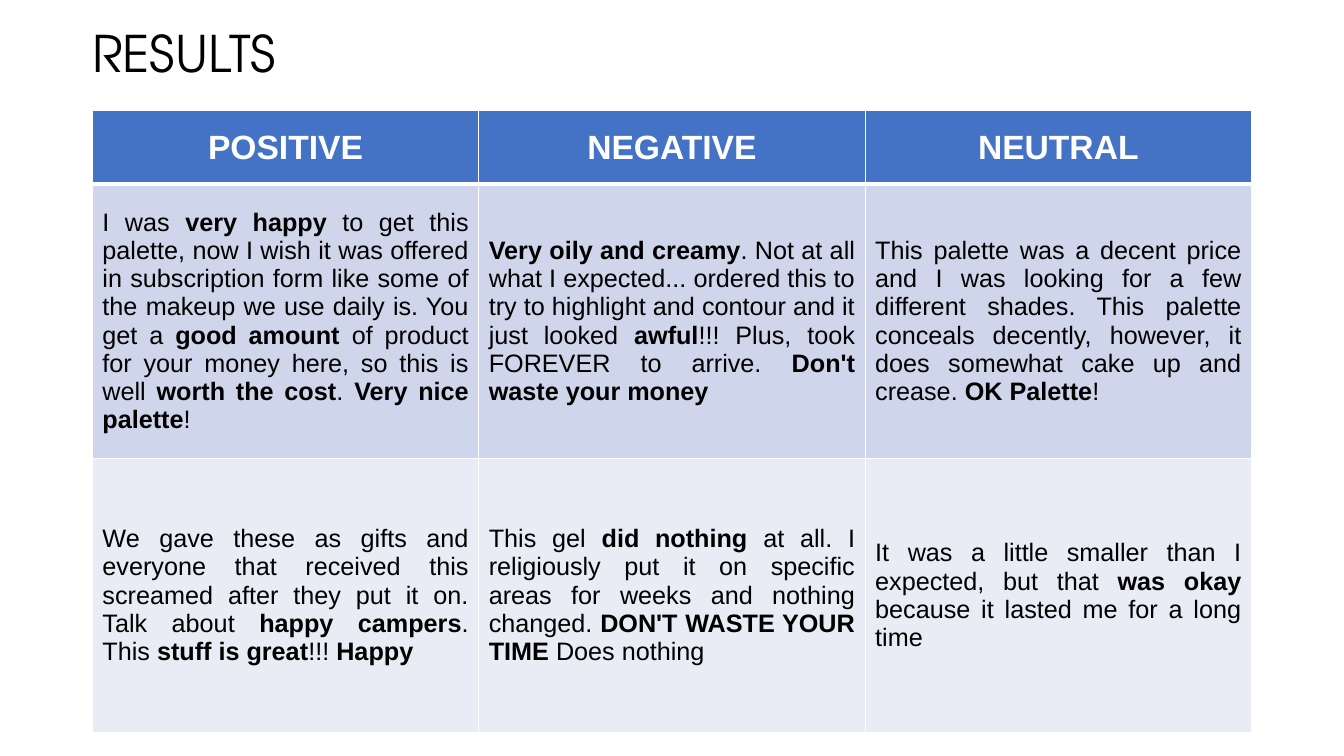
from pptx import Presentation
from pptx import util as u
from pptx.dml.color import RGBColor
from pptx.enum import text as t
from pptx.oxml import parse_xml
from pptx.oxml.ns import nsdecls

HUES = {"ink": "000000", "paper": "FFFFFF", "head": "4472C4",
        "odd": "CFD5EA", "even": "E9EBF5"}

# Asterisks enclose the bold words
HEADS = ["*POSITIVE*", "*NEGATIVE*", "*NEUTRAL*"]
QUOTES = [
    ["I was *very happy *to get this palette, now I wish it was offered in "
     "subscription form like some of the makeup we use daily is. You get a "
     "*good amount *of product for your money here, so this is well "
     "*worth the cost*. *Very nice palette*!",
     "*Very oily and creamy*. Not at all what I expected... ordered this to "
     "try to highlight and contour and it just looked *awful*!!! Plus, took "
     "FOREVER to arrive. *Don't waste your money*",
     "This palette was a decent price and I was looking for a few different "
     "shades. This palette conceals decently, however, it does somewhat cake "
     "up and crease. *OK Palette*!"],
    ["We gave these as gifts and everyone that received this screamed after "
     "they put it on. Talk about *happy campers*. This *stuff is great*!!! "
     "*Happy*",
     "This gel *did nothing *at all. I religiously put it on specific areas "
     "for weeks and nothing changed. *DON'T WASTE YOUR TIME *Does nothing",
     "It was a little smaller than I expected, but that *was okay *because "
     "it lasted me for a long time"],
]

HEAD = {"size": 24, "hue": "paper", "align": t.PP_ALIGN.CENTER}
BODY = {"size": 18, "hue": "ink", "align": t.PP_ALIGN.JUSTIFY}


def color(name):
    return RGBColor.from_string(HUES[name])


def assign(item, values):
    for key, value in values.items():
        setattr(item, key, value)


def write(par, words, face, look):
    """Fill a paragraph, switching bold at each asterisk."""
    par.alignment = look["align"]
    for i, part in enumerate(words.split("*")):
        if part:
            run = par.add_run()
            run.text = part
            assign(run.font, {"name": face, "size": u.Pt(look["size"]),
                              "bold": i % 2 == 1})
            run.font.color.rgb = color(look["hue"])


def edge(cell, base):
    """Draw the white cell borders."""
    props = cell._tc.get_or_add_tcPr()
    for side, width in {"L": 1, "R": 1, "T": 1, "B": base}.items():
        props.append(parse_xml(
            f'<a:ln{side} {nsdecls("a")} w="{u.Pt(width)}"><a:solidFill>'
            f'<a:srgbClr val="{HUES["paper"]}"/></a:solidFill></a:ln{side}>'))


def title(slide, left, top, width, height):
    shape = slide.shapes.title
    assign(shape, {"left": u.Pt(left), "top": u.Pt(top),
                   "width": u.Pt(width), "height": u.Pt(height)})
    frame = shape.text_frame
    assign(frame, {"margin_left": 0, "margin_top": 0, "margin_right": 0,
                   "margin_bottom": 0, "word_wrap": True,
                   "auto_size": t.MSO_AUTO_SIZE.NONE,
                   "vertical_anchor": t.MSO_ANCHOR.MIDDLE})
    par = frame.paragraphs[0]
    par.line_spacing = 0.9
    write(par, "RESULTS", "TeX Gyre Adventor",
          {"size": 36, "hue": "ink", "align": t.PP_ALIGN.LEFT})


def reviews(slide, left, top, width, height, first=52.4):
    """Table of quotes: a header row, the rest shared equally."""
    rows = [HEADS] + QUOTES
    grid = slide.shapes.add_table(
        len(rows), len(HEADS), u.Pt(left), u.Pt(top),
        u.Pt(width), u.Pt(height)).table
    for col in grid.columns:
        col.width = u.Pt(width / len(HEADS))
    for r, row in enumerate(rows):
        high = (height - first) / len(QUOTES) if r else first
        grid.rows[r].height = u.Pt(high)
        fill = ("odd" if r % 2 else "even") if r else "head"
        for c, words in enumerate(row):
            cell = grid.cell(r, c)
            cell.vertical_anchor = t.MSO_ANCHOR.MIDDLE
            edge(cell, 1 if r else 3)
            cell.fill.solid()
            cell.fill.fore_color.rgb = color(fill)
            write(cell.text_frame.paragraphs[0], words, "Arial",
                  BODY if r else HEAD)


def main():
    deck = Presentation()
    assign(deck, {"slide_width": u.Pt(960), "slide_height": u.Pt(540)})
    slide = deck.slides.add_slide(deck.slide_layouts[5])
    title(slide, 66, 13.7, 828, 53.3)
    reviews(slide, 66, 79.2, 828, 444)
    deck.save("out.pptx")


if __name__ == "__main__":
    main()
